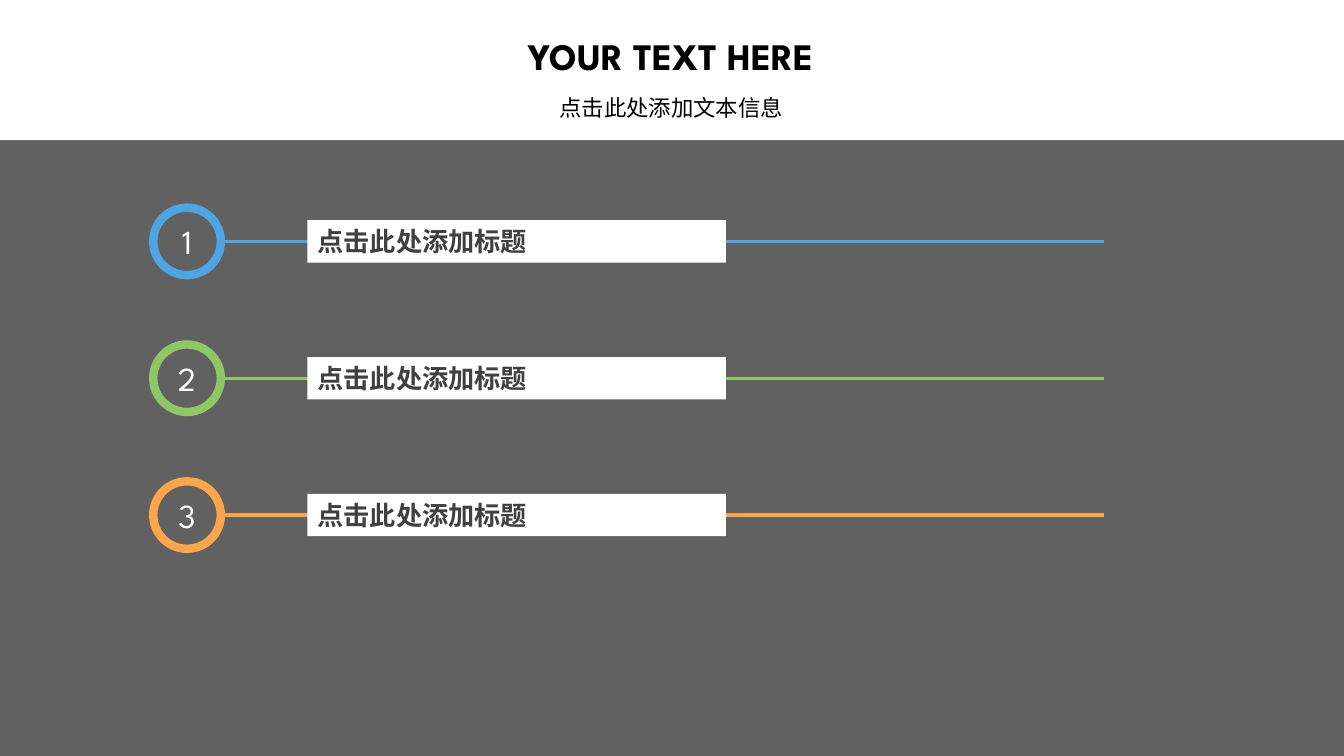
from lxml.etree import SubElement
from pptx import Presentation
from pptx.dml.color import RGBColor as Rgb
from pptx.enum.shapes import MSO_CONNECTOR as Link, MSO_SHAPE as Kind
from pptx.enum.text import MSO_ANCHOR as Anchor, PP_ALIGN as Align
from pptx.oxml.ns import qn
from pptx.util import Inches, Pt

WIDE, HIGH = Inches(13.33), Inches(7.5)
FONT = "League Spartan"
HUES = {"black": "000000", "white": "FFFFFF", "gray": "616161", "dark": "404040",
        "blue": "4FA5E3", "green": "8FC767", "gold": "FCA54A"}
LABEL = "点击此处添加标题"
ITEMS = [("1", "blue"), ("2", "green"), ("3", "gold")]
FIRST, STEP = 31.93, 18.1
RING_X, RING_W, RING_H = 11.4, 5.03, 8.93
BAR_X, BAR_W, BAR_H = 22.88, 31.13, 5.6
RULE_END = 82.15


def hue(name):
    return Rgb.from_string(HUES[name])


def across(share):
    return int(WIDE * share / 100)


def down(share):
    return int(HIGH * share / 100)


def place(x, y, w, h):
    return across(x), down(y), across(w), down(h)


def write(shape, text, size, tint, align, bold=False):
    frame = shape.text_frame
    frame.word_wrap = True
    frame.vertical_anchor = Anchor.MIDDLE
    para = frame.paragraphs[0]
    para.text = text
    para.alignment = align
    font = para.font
    font.name, font.size, font.bold = FONT, Pt(size), bold
    font.color.rgb = hue(tint)
    return para


def block(slide, box, tint):
    shape = slide.shapes.add_shape(Kind.RECTANGLE, *place(*box))
    shape.shadow.inherit = False
    shape.fill.solid()
    shape.fill.fore_color.rgb = hue(tint)
    shape.line.fill.background()
    return shape


def ring(slide, mid, text, tint):
    box = place(RING_X, mid - RING_H / 2, RING_W, RING_H)
    shape = slide.shapes.add_shape(Kind.OVAL, *box)
    shape.shadow.inherit = False
    shape.fill.background()
    shape.line.color.rgb = hue(tint)
    shape.line.width = Pt(6)
    frame = shape.text_frame
    frame.margin_left = frame.margin_right = 0
    write(shape, text, 24, "white", Align.CENTER)


def rule(slide, mid, tint):
    line = slide.shapes.add_connector(
        Link.STRAIGHT, across(RING_X + RING_W), down(mid), across(RULE_END), down(mid))
    line.line.color.rgb = hue(tint)
    line.line.width = Pt(2.25)
    SubElement(line._element.spPr, qn("a:effectLst"))


def head(slide, top, tall, text, size, bold):
    box = slide.shapes.add_textbox(*place(30.83, top, 38.26, tall))
    para = write(box, text, size, "black", Align.CENTER, bold)
    para.line_spacing = 0.9


def main():
    """Build the slide with three numbered titles."""
    deck = Presentation()
    deck.slide_width, deck.slide_height = WIDE, HIGH
    slide = deck.slides.add_slide(deck.slide_layouts[6])
    block(slide, (0, 0, 100, 100), "gray")
    block(slide, (0, 0, 100, 18.53), "white")
    head(slide, 3.2, 9.07, "YOUR TEXT HERE", 26.7, True)
    head(slide, 11.33, 6.13, "点击此处添加文本信息", 16, False)
    for row, (mark, tint) in enumerate(ITEMS):
        mid = FIRST + row * STEP
        ring(slide, mid, mark, tint)
        rule(slide, mid, tint)
        bar = block(slide, (BAR_X, mid - BAR_H / 2, BAR_W, BAR_H), "white")
        write(bar, LABEL, 18.7, "dark", Align.LEFT, True)
    deck.save("out.pptx")


if __name__ == "__main__":
    main()
